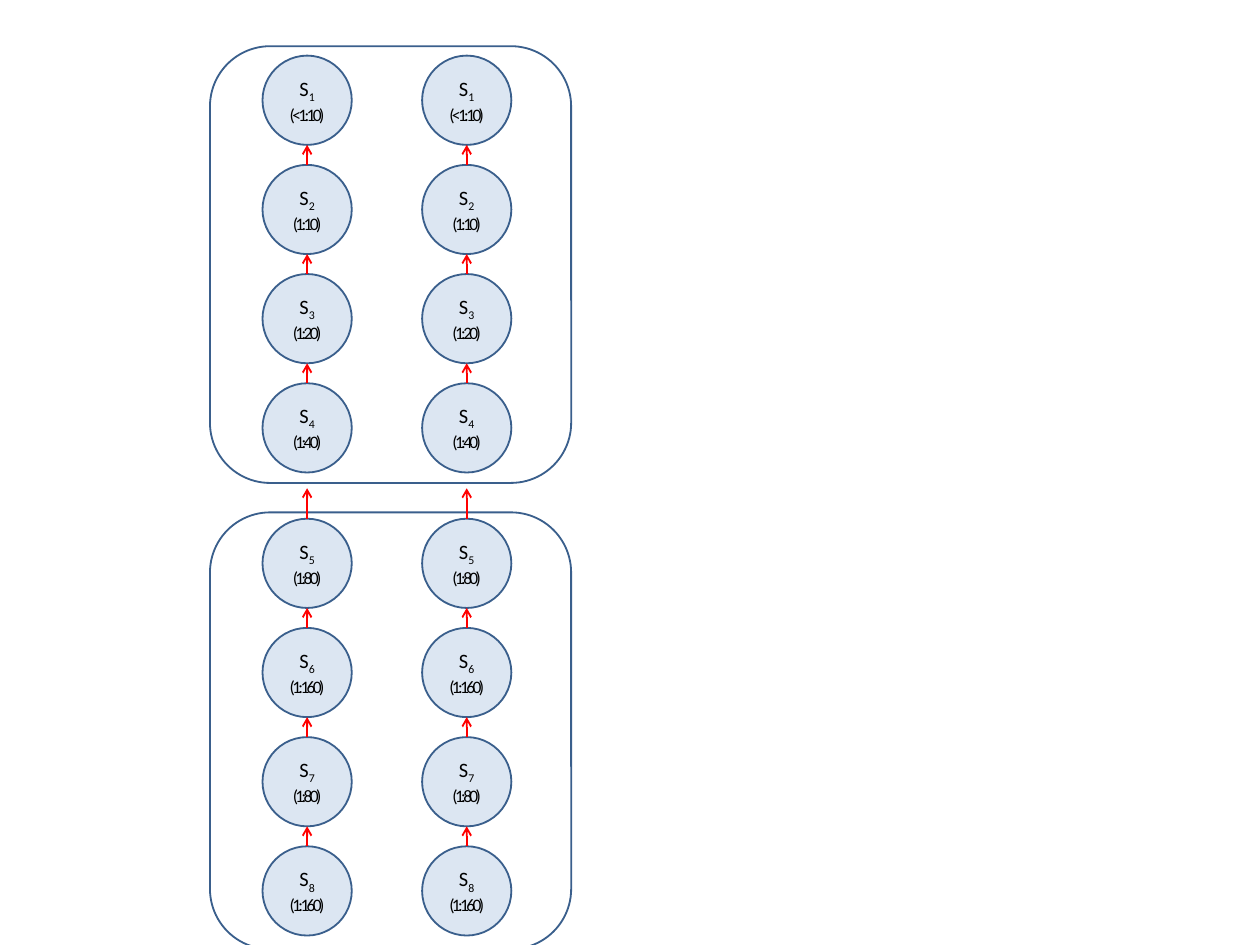
"""Build a slide of two panels, each with two chains of dilution states."""
from dataclasses import dataclass
from typing import Optional

from lxml.etree import SubElement
from pptx import Presentation
from pptx.dml.color import RGBColor
from pptx.enum.shapes import MSO_CONNECTOR as CONN, MSO_SHAPE as SHAPE
from pptx.enum.text import MSO_ANCHOR as ANCHOR, PP_ALIGN as ALIGN
from pptx.oxml.ns import qn
from pptx.util import Inches, Pt

WHITE = RGBColor(0xFF, 0xFF, 0xFF)
BLACK = RGBColor(0x00, 0x00, 0x00)
BLUE = RGBColor(0x3A, 0x5F, 0x8C)
PALE_BLUE = RGBColor(0xDC, 0xE6, 0xF2)
RED = RGBColor(0xFF, 0x00, 0x00)

LINE_WIDTH = Pt(1.25)
PANEL_LEFT, PANEL_WIDTH, PANEL_HEIGHT = 2, 3.44, 4.16
COLUMNS = (2.5, 4.02)
DIAMETER = 0.85
PITCH = 1.04


@dataclass(frozen=True)
class Panel:
    top: float
    first_state_top: float
    first_number: int
    ratios: tuple[str, ...]
    inset: tuple[float, float]
    fill: Optional[RGBColor] = None
    exit_gap: float = 0


PANELS = (
    Panel(0.44, 0.53, 1, ("<1:10", "1:10", "1:20", "1:40"), (0.1, 0.05), fill=WHITE),
    Panel(4.88, 4.94, 5, ("1:80", "1:160", "1:80", "1:160"), (0.12, 0.06), exit_gap=0.29),
)


def add_outlined(slide, kind: SHAPE, left: float, top: float, width: float,
                 height: float, fill: Optional[RGBColor]):
    sp = slide.shapes.add_shape(kind, Inches(left), Inches(top), Inches(width), Inches(height))
    sp.shadow.inherit = False
    if fill is None:
        sp.fill.background()
    else:
        sp.fill.solid()
        sp.fill.fore_color.rgb = fill
    sp.line.color.rgb = BLUE
    sp.line.width = LINE_WIDTH
    return sp


def add_run(p, text: str, size: int, **attributes: str) -> None:
    r = p.add_run()
    r.text = text
    r.font.name = "Calibri"
    r.font.size = Pt(size)
    r.font.color.rgb = BLACK
    for name, value in attributes.items():
        r.font._element.set(name, value)


def add_state(slide, left: float, top: float, number: int, ratio: str,
              inset: tuple[float, float]):
    sp = add_outlined(slide, SHAPE.OVAL, left, top, DIAMETER, DIAMETER, PALE_BLUE)
    tf = sp.text_frame
    tf.word_wrap = True
    tf.vertical_anchor = ANCHOR.MIDDLE
    tf.margin_left = tf.margin_right = Inches(inset[0])
    tf.margin_top = tf.margin_bottom = Inches(inset[1])
    name, dilution = tf.paragraphs[0], tf.add_paragraph()
    name.alignment = dilution.alignment = ALIGN.CENTER
    add_run(name, "S", 14)
    add_run(name, str(number), 14, baseline="-25000")
    add_run(dilution, f"({ratio})", 12, spc="-180")
    return sp


def add_arrow_up(slide, state, length: float) -> None:
    x = state.left + state.width // 2
    line = slide.shapes.add_connector(CONN.STRAIGHT, x, state.top, x, state.top - Inches(length))
    line.begin_connect(state, 0)
    line.line.color.rgb = RED
    line.line.width = LINE_WIDTH
    SubElement(line.line._get_or_add_ln(), qn("a:tailEnd"), type="arrow")
    SubElement(line._element.spPr, qn("a:effectLst"))


def add_panel(slide, panel: Panel) -> None:
    add_outlined(slide, SHAPE.ROUNDED_RECTANGLE, PANEL_LEFT, panel.top,
                 PANEL_WIDTH, PANEL_HEIGHT, panel.fill)
    for left in COLUMNS:
        for row, ratio in enumerate(panel.ratios):
            state = add_state(slide, left, panel.first_state_top + row * PITCH,
                              panel.first_number + row, ratio, panel.inset)
            gap = PITCH - DIAMETER if row else panel.exit_gap
            if gap:
                add_arrow_up(slide, state, gap)


def main() -> None:
    prs = Presentation()
    prs.slide_width, prs.slide_height = Inches(12), Inches(9)
    slide = prs.slides.add_slide(prs.slide_layouts[6])
    for panel in PANELS:
        add_panel(slide, panel)
    prs.save("out.pptx")


if __name__ == "__main__":
    main()
